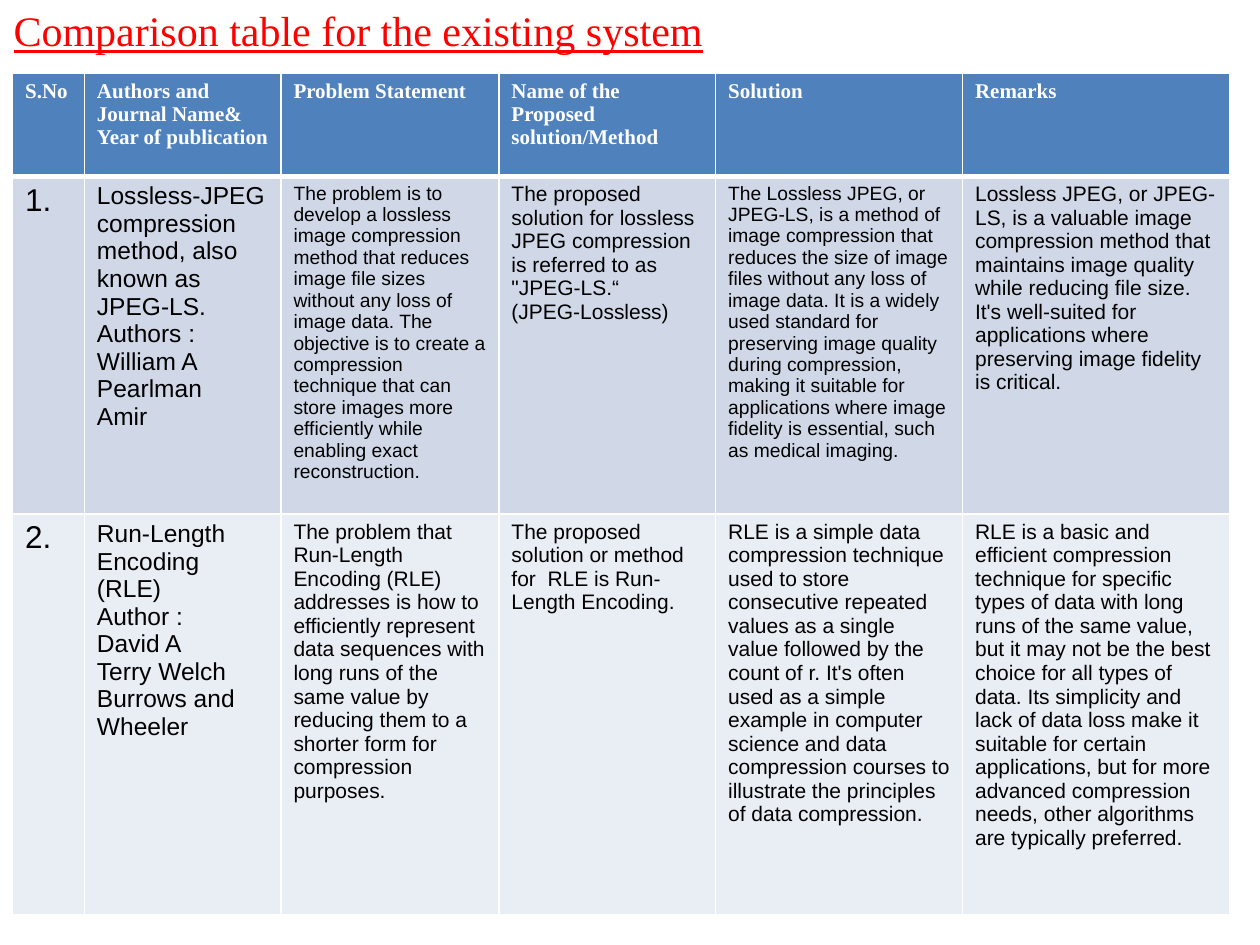
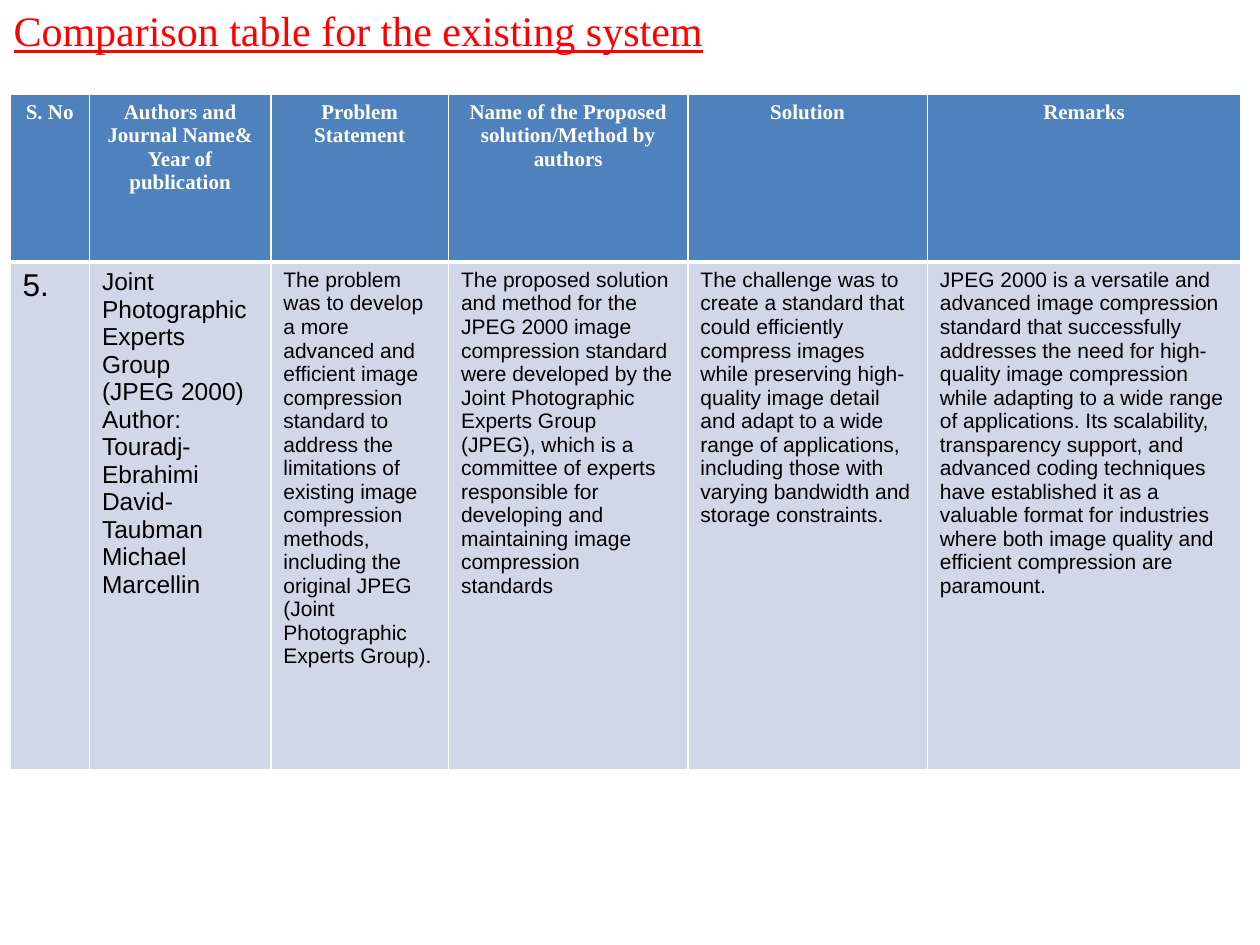
from dataclasses import dataclass

from lxml.etree import SubElement
from pptx import Presentation
from pptx.dml.color import RGBColor
from pptx.enum.text import MSO_AUTO_SIZE, PP_ALIGN
from pptx.oxml.ns import qn
from pptx.util import Inches, Pt


@dataclass(frozen=True)
class Theme:
    title_font: str = "Times New Roman"
    body_font: str = "Arial"
    title_color: str = "FF0000"
    header_fill: str = "4F81BD"
    header_text: str = "FFFFFF"
    body_text: str = "000000"
    rule: str = "FFFFFF"
    bands: tuple = ("D0D8E8", "E9EDF4")
    title_size: int = 24
    header_size: int = 12
    body_sizes: tuple = (18, 14, 12, 12, 12, 12)
    compact_sizes: tuple = (18, 14, 11, 12, 11, 12)
    thin_rule: int = 1
    thick_rule: int = 3


THEME = Theme()
SLIDE_WIDTH, SLIDE_HEIGHT = 10, 7.5
TITLE = "Comparison table for the existing system"
TITLE_BOX = (0.01, -0.01, 9.83, 0.5)

COMPARISONS = [
    {
        "origin": (0.1, 0.58),
        "columns": (0.57, 1.56, 1.73, 1.72, 1.96, 2.12),
        "rows": (0.82, 2.68, 3.18),
        "header_align": PP_ALIGN.LEFT,
        "sizes": (THEME.compact_sizes, THEME.body_sizes),
        "headers": (
            "S.No",
            "Authors and Journal Name& Year of publication",
            "Problem Statement",
            "Name of the Proposed solution/Method",
            "Solution ",
            "Remarks",
        ),
        "methods": [
            (
                "1.",
                "Lossless-JPEG compression method, also known as JPEG-LS.\n"
                "Authors :\nWilliam A Pearlman \nAmir",
                "The problem is to develop a lossless image compression method "
                "that reduces image file sizes without any loss of image data. "
                "The objective is to create a compression technique that can "
                "store images more efficiently while enabling exact "
                "reconstruction.",
                "The proposed solution for lossless JPEG compression is "
                "referred to as \"JPEG-LS.\u201c\n(JPEG-Lossless)",
                "The Lossless JPEG, or JPEG-LS, is a method of image "
                "compression that reduces the size of image files without any "
                "loss of image data. It is a widely used standard for "
                "preserving image quality during compression, making it "
                "suitable for applications where image fidelity is essential, "
                "such as medical imaging.",
                "Lossless JPEG, or JPEG-LS, is a valuable image compression "
                "method that maintains image quality while reducing file size. "
                "It's well-suited for applications where preserving image "
                "fidelity is critical.",
            ),
            (
                "2.",
                "Run-Length Encoding (RLE)\nAuthor : \nDavid A\nTerry Welch\n"
                "Burrows and Wheeler",
                "The problem that Run-Length Encoding (RLE) addresses is how "
                "to efficiently represent data sequences with long runs of the "
                "same value by reducing them to a shorter form for compression "
                "purposes. ",
                "The proposed solution or method for  RLE is Run-Length "
                "Encoding.",
                "RLE is a simple data compression technique used to store "
                "consecutive repeated values as a single value followed by the "
                "count of r. It's often used as a simple example in computer "
                "science and data compression courses to illustrate the "
                "principles of data compression.",
                "RLE is a basic and efficient compression technique for "
                "specific types of data with long runs of the same value, but "
                "it may not be the best choice for all types of data. Its "
                "simplicity and lack of data loss make it suitable for certain "
                "applications, but for more advanced compression needs, other "
                "algorithms are typically preferred.",
            ),
        ],
    },
    {
        "origin": (0.08, 0.75),
        "columns": (0.63, 1.44, 1.41, 1.9, 1.9, 2.49),
        "rows": (1.33, 4.03),
        "header_align": PP_ALIGN.CENTER,
        "sizes": (THEME.body_sizes,),
        "headers": (
            "S. No",
            "Authors and Journal Name& Year of publication",
            "Problem Statement",
            "Name of the Proposed solution/Method by authors",
            " Solution ",
            "Remarks",
        ),
        "methods": [
            (
                "5.",
                "Joint Photographic Experts Group \n(JPEG 2000)\nAuthor:\n"
                "Touradj-Ebrahimi\nDavid-Taubman\nMichael Marcellin",
                "The problem was to develop a more advanced and efficient "
                "image compression standard to address the limitations of "
                "existing image compression methods, including the original "
                "JPEG (Joint Photographic Experts Group). ",
                "The proposed solution and method for the JPEG 2000 image "
                "compression standard were developed by the Joint Photographic "
                "Experts Group (JPEG), which is a committee of experts "
                "responsible for developing and maintaining image compression "
                "standards",
                "The challenge was to create a standard that could efficiently "
                "compress images while preserving high-quality image detail "
                "and adapt to a wide range of applications, including those "
                "with varying bandwidth and storage constraints.",
                "JPEG 2000 is a versatile and advanced image compression "
                "standard that successfully addresses the need for "
                "high-quality image compression while adapting to a wide range "
                "of applications. Its scalability, transparency support, and "
                "advanced coding techniques have established it as a valuable "
                "format for industries where both image quality and efficient "
                "compression are paramount.",
            ),
        ],
    },
]


def format_text(frame, font_name, size, color, bold=False, underline=False,
                align=PP_ALIGN.LEFT):
    for paragraph in frame.paragraphs:
        paragraph.alignment = align
        for run in paragraph.runs:
            run.font.name = font_name
            run.font.size = Pt(size)
            run.font.color.rgb = RGBColor.from_string(color)
            run.font.bold = bold
            run.font.underline = underline


def rule_cell(cell, row):
    widths = {"lnL": THEME.thin_rule, "lnR": THEME.thin_rule,
              "lnT": THEME.thick_rule if row == 1 else THEME.thin_rule,
              "lnB": THEME.thick_rule if row == 0 else THEME.thin_rule}
    properties = cell._tc.get_or_add_tcPr()
    for side, width in widths.items():
        edge = SubElement(properties, qn(f"a:{side}"), w=str(Pt(width)))
        fill = SubElement(edge, qn("a:solidFill"))
        SubElement(fill, qn("a:srgbClr"), val=THEME.rule)


def fill_cell(cell, text, row, fill):
    rule_cell(cell, row)
    cell.fill.solid()
    cell.fill.fore_color.rgb = RGBColor.from_string(fill)
    cell.text_frame.text = text


def add_title(slide):
    title = slide.shapes.add_textbox(*map(Inches, TITLE_BOX)).text_frame
    title.word_wrap = True
    title.auto_size = MSO_AUTO_SIZE.SHAPE_TO_FIT_TEXT
    title.text = TITLE
    format_text(title, THEME.title_font, THEME.title_size, THEME.title_color,
                underline=True)


def add_comparison(slide, comparison):
    columns, rows = comparison["columns"], comparison["rows"]
    extent = (*comparison["origin"], sum(columns), sum(rows))
    grid = slide.shapes.add_table(len(rows), len(columns),
                                  *map(Inches, extent)).table
    for column, width in zip(grid.columns, columns):
        column.width = Inches(width)
    for row, height in zip(grid.rows, rows):
        row.height = Inches(height)

    for column, heading in enumerate(comparison["headers"]):
        cell = grid.cell(0, column)
        fill_cell(cell, heading, 0, THEME.header_fill)
        format_text(cell.text_frame, THEME.title_font, THEME.header_size,
                    THEME.header_text, bold=True,
                    align=comparison["header_align"])

    methods = zip(comparison["methods"], comparison["sizes"])
    for row, (method, sizes) in enumerate(methods, start=1):
        band = THEME.bands[(row - 1) % len(THEME.bands)]
        for column, (text, size) in enumerate(zip(method, sizes)):
            cell = grid.cell(row, column)
            fill_cell(cell, text, row, band)
            format_text(cell.text_frame, THEME.body_font, size,
                        THEME.body_text)


deck = Presentation()
deck.slide_width, deck.slide_height = Inches(SLIDE_WIDTH), Inches(SLIDE_HEIGHT)
for comparison in COMPARISONS:
    slide = deck.slides.add_slide(deck.slide_layouts[6])
    add_title(slide)
    add_comparison(slide, comparison)
deck.save("out.pptx")
